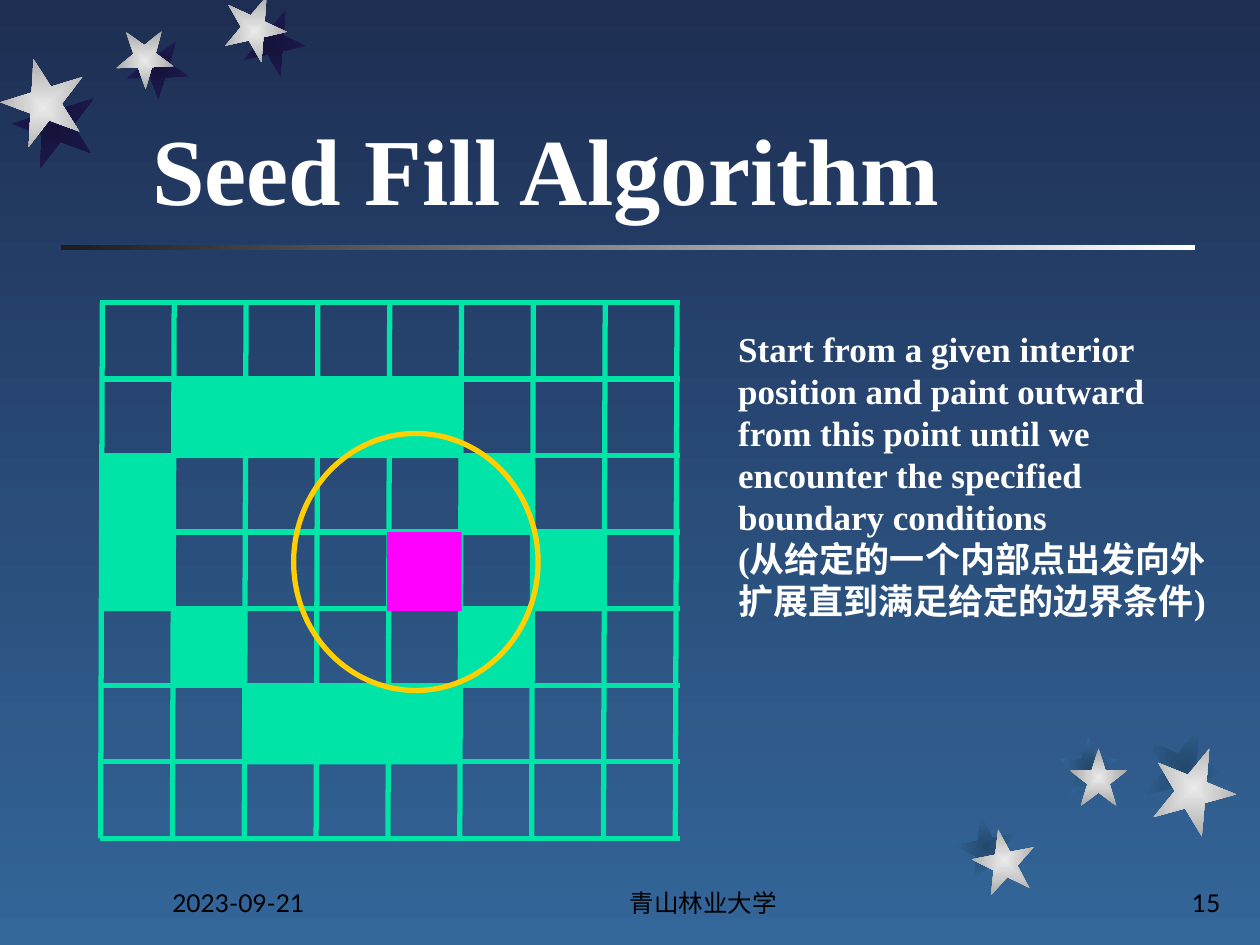
from lxml import etree
from pptx import Presentation
from pptx.dml.color import RGBColor
from pptx.enum.shapes import MSO_CONNECTOR, MSO_SHAPE
from pptx.enum.text import MSO_ANCHOR, MSO_AUTO_SIZE, PP_ALIGN
from pptx.oxml.ns import qn
from pptx.util import Pt

COLORS = {
    "night": "1E2E53", "dusk": "336699", "coal": "1C1C1C", "white": "FFFFFF",
    "black": "000000", "indigo": "15133B", "violet": "1E1A53", "steel": "24496D",
    "silver": "EAEAEA", "gray": "A7A7A7", "grid": "00E4A8", "seed": "FF00FF",
    "ring": "FFCF01",
}
RGB = {name: RGBColor.from_string(value) for name, value in COLORS.items()}


def set_gradient(fill, start, end, angle):
    fill.gradient()
    fill.gradient_angle = angle
    for stop, color in zip(fill.gradient_stops, (start, end)):
        stop.color.rgb = RGB[color]


def add_text(box, paragraphs, size, font, color, bold, align, anchor):
    left, top, width, height = box
    text_box = slide.shapes.add_textbox(Pt(left), Pt(top), Pt(width), Pt(height))
    frame = text_box.text_frame
    frame.word_wrap = True
    frame.vertical_anchor = anchor
    frame.text = "\n".join(paragraphs)
    for paragraph in frame.paragraphs:
        paragraph.alignment = align
        for run in paragraph.runs:
            run.font.size = Pt(size)
            run.font.name = font
            run.font.bold = bold
            run.font.color.rgb = RGB[color]
    return frame


prs = Presentation()
prs.slide_width, prs.slide_height = Pt(720), Pt(540)
slide = prs.slides.add_slide(prs.slide_layouts[6])
set_gradient(slide.background.fill, "night", "dusk", 270)

title_rule = slide.shapes.add_shape(MSO_SHAPE.RECTANGLE, Pt(34.8), Pt(140.2), Pt(648), Pt(2.4))
title_rule.shadow.inherit = False
title_rule.line.fill.background()
set_gradient(title_rule.fill, "coal", "white", 0)

top_shadows = [(138.2, 8, 36, 36, 167.3), (72, 23.8, 36, 33, 178.3), (7.2, 49.7, 48, 48, 200.3)]
top_stars = [(127.4, 0, 36, 36, 167.3), (66.2, 18, 33, 33, 178.3), (0.7, 37.4, 48, 48, 200.3)]
low_shadows = [(545.8, 465.8, 36, 36, 349), (605.5, 421.2, 33, 33, 0), (652.3, 414, 48, 48, 22)]
low_stars = [(555.8, 473.8, 36, 36, 349), (611.3, 427.7, 33, 33, 0), (658, 426.2, 48, 48, 22)]
for stars, center, edge in [
    (top_shadows, "indigo", "violet"),
    (top_stars, "silver", "gray"),
    (low_shadows, "steel", "dusk"),
    (low_stars, "silver", "gray"),
]:
    for left, top, width, height, rotation in stars:
        star = slide.shapes.add_shape(
            MSO_SHAPE.STAR_5_POINT, Pt(left), Pt(top), Pt(width), Pt(height))
        star.rotation = rotation
        star.shadow.inherit = False
        star.line.fill.background()
        set_gradient(star.fill, center, edge, 0)
        gradient = star._element.spPr.find(qn("a:gradFill"))
        gradient.remove(gradient.find(qn("a:lin")))
        radial = etree.SubElement(gradient, qn("a:path"), {"path": "shape"})
        etree.SubElement(radial, qn("a:fillToRect"), dict.fromkeys("ltrb", "50000"))

for text, left, width, align in [
    ("2023-09-21", 91.4, 150, PP_ALIGN.LEFT),
    ("青山林业大学", 288, 228, PP_ALIGN.CENTER),
    ("15", 554.4, 150, PP_ALIGN.RIGHT),
]:
    add_text((left, 491.8, width, 36), [text], 14, "Lato", "black", False, align,
             MSO_ANCHOR.BOTTOM)

GRID_LEFT, GRID_TOP, GRID_RIGHT = 57, 172.8, 388.8
COLUMN, ROW = 41.05, 43.75
COLUMNS, ROWS = 8, 7
GRID_BOTTOM = GRID_TOP + ROWS * ROW
lines = [(58.5 + COLUMN * i, GRID_TOP, 57.5 + COLUMN * i, GRID_BOTTOM)
         for i in range(COLUMNS + 1)]
lines += [(GRID_LEFT, GRID_TOP + ROW * i, GRID_RIGHT, GRID_TOP + ROW * i)
          for i in range(ROWS + 1)]
grid = slide.shapes.add_group_shape()
for x1, y1, x2, y2 in lines:
    grid_line = grid.shapes.add_connector(
        MSO_CONNECTOR.STRAIGHT, Pt(x1), Pt(y1), Pt(x2), Pt(y2))
    grid_line.line.color.rgb = RGB["grid"]
    grid_line.line.width = Pt(3)
    etree.SubElement(grid_line._element.spPr, qn("a:effectLst"))

boundary_columns = {1: (1, 2, 3, 4), 2: (0, 5), 3: (0, 6), 4: (1, 5), 5: (2, 3, 4)}
cells = [(row, column, "grid") for row, columns in boundary_columns.items() for column in columns]
boundary = slide.shapes.add_group_shape()

add_text((79.9, 46.8, 601.2, 85), ["Seed Fill Algorithm"], 54, "Times New Roman", "white",
         True, PP_ALIGN.LEFT, MSO_ANCHOR.BOTTOM)

for row, column, color in cells + [(3, 4, "seed")]:
    parent = slide if color == "seed" else boundary
    cell = parent.shapes.add_shape(
        MSO_SHAPE.RECTANGLE, Pt(GRID_LEFT + COLUMN * column), Pt(GRID_TOP + ROW * row),
        Pt(42.6), Pt(45.2))
    cell.shadow.inherit = False
    cell.fill.solid()
    cell.fill.fore_color.rgb = RGB[color]
    cell.line.fill.background()

ring = slide.shapes.add_shape(MSO_SHAPE.OVAL, Pt(167.8), Pt(247.7), Pt(139.7), Pt(146.9))
ring.shadow.inherit = False
ring.fill.background()
ring.line.color.rgb = RGB["ring"]
ring.line.width = Pt(3)

explanation = add_text(
    (414.7, 183.6, 288.7, 175),
    ["Start from a given interior position and paint outward from this point until we "
     "encounter the specified boundary conditions",
     "(从给定的一个内部点出发向外扩展直到满足给定的边界条件)"],
    20, "Times New Roman", "white", True, PP_ALIGN.LEFT, MSO_ANCHOR.TOP)
explanation.auto_size = MSO_AUTO_SIZE.SHAPE_TO_FIT_TEXT

prs.save("out.pptx")
